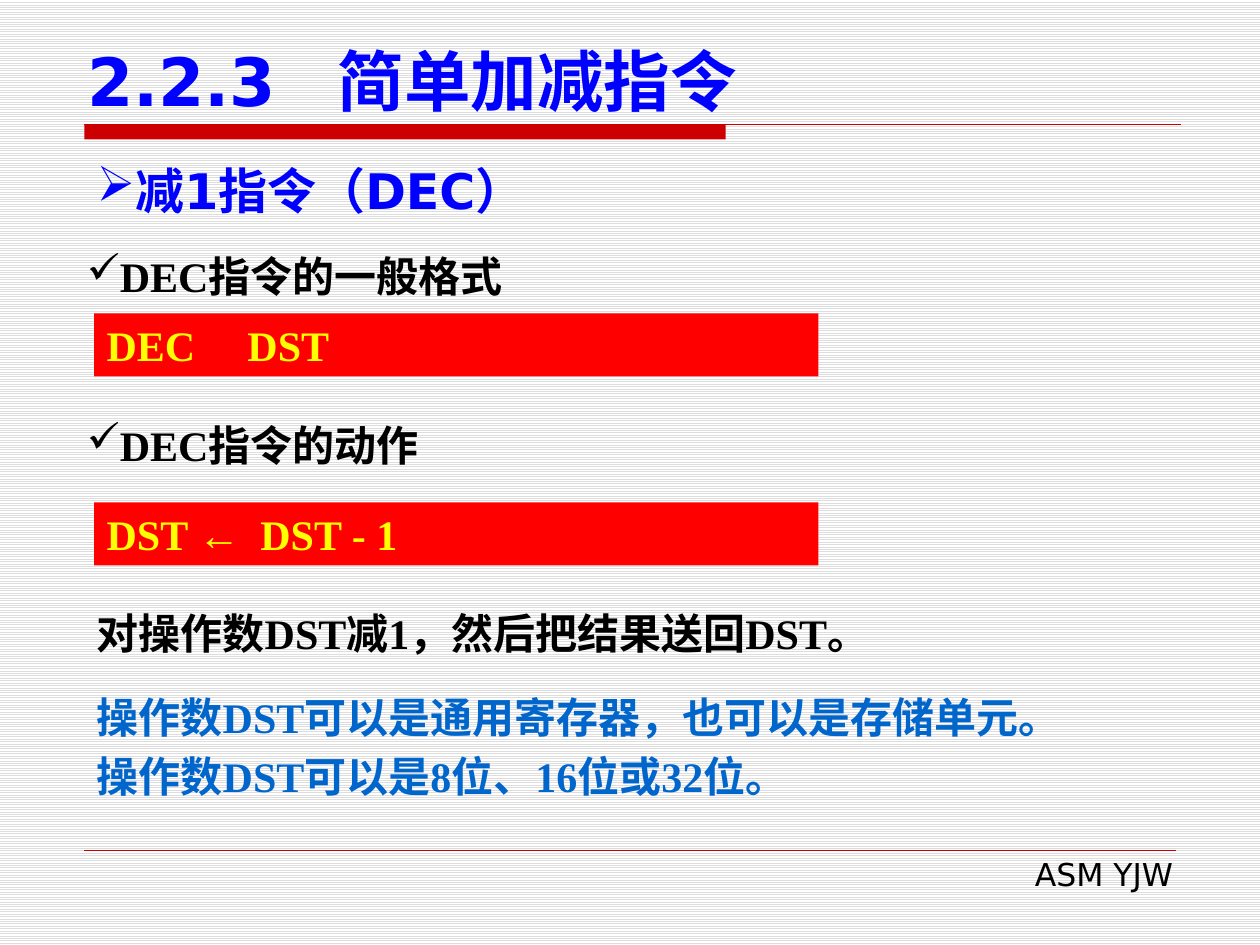
from lxml.etree import SubElement
from pptx import Presentation
from pptx.dml.color import RGBColor
from pptx.enum.dml import MSO_PATTERN
from pptx.enum.shapes import MSO_CONNECTOR, MSO_SHAPE
from pptx.enum.text import MSO_ANCHOR, MSO_AUTO_SIZE, PP_ALIGN
from pptx.oxml.ns import qn
from pptx.util import Cm, Pt

BLACK, BLUE, SKY = "000000", "0000FF", "0066CC"
CRIMSON, RED, YELLOW = "CC0000", "FF0000", "FFFF00"
SANS, SERIF = "DejaVu Sans", "Times New Roman"
BODY = {"name": SERIF, "size": Pt(24), "bold": True}


def color(value):
    """Turn a hex string into a colour."""
    return RGBColor.from_string(value)


class SlideBuilder:
    """Hold the style and the current slide."""

    def __init__(self, deck):
        """Add a title-only slide with a ruled background."""
        self.page = deck.slides.add_slide(deck.slide_layouts[5])
        fill = self.page.background.fill
        fill.patterned()
        fill.pattern = MSO_PATTERN.LIGHT_HORIZONTAL
        fill.fore_color.rgb = color("DDDDDD")
        fill.back_color.rgb = color("FFFFFF")

    def fill_text(self, shape, lines, ink, font=BODY, align=PP_ALIGN.LEFT,
                  anchor=MSO_ANCHOR.TOP, fit=MSO_AUTO_SIZE.SHAPE_TO_FIT_TEXT,
                  bullet=None, tab=None):
        """Fill a shape with formatted paragraphs."""
        frame = shape.text_frame
        settings = {"word_wrap": True, "auto_size": fit, "vertical_anchor": anchor}
        for key, value in settings.items():
            setattr(frame, key, value)
        for index, line in enumerate(lines):
            para = frame.add_paragraph() if index else frame.paragraphs[0]
            para.alignment = align
            para.space_before = Pt(5 if index else 0)
            properties = para._p.get_or_add_pPr()
            if bullet:
                SubElement(properties, qn("a:buChar"), char=bullet)
            if tab:
                stops = SubElement(properties, qn("a:tabLst"))
                SubElement(stops, qn("a:tab"), pos=str(Cm(tab)), algn="l")
            span = para.add_run()
            span.text = line
            for key, value in font.items():
                setattr(span.font, key, value)
            span.font.color.rgb = color(ink)

    def title(self, text, left, top, width, height, **style):
        """Move and format the title placeholder."""
        box = self.page.shapes.title
        place = {"left": left, "top": top, "width": width, "height": height}
        for key, value in place.items():
            setattr(box, key, Cm(value))
        self.fill_text(box, [text], BLUE, anchor=MSO_ANCHOR.BOTTOM,
                       fit=MSO_AUTO_SIZE.NONE, **style)

    def text(self, lines, left, top, width, height, ink=BLACK, **style):
        """Add a text box."""
        box = self.page.shapes.add_textbox(Cm(left), Cm(top), Cm(width), Cm(height))
        self.fill_text(box, lines, ink, **style)

    def bar(self, left, top, width, height, fill):
        """Add a filled rectangle without outline."""
        box = self.page.shapes.add_shape(
            MSO_SHAPE.RECTANGLE, Cm(left), Cm(top), Cm(width), Cm(height))
        box.shadow.inherit = False
        box.fill.solid()
        box.fill.fore_color.rgb = color(fill)
        box.line.fill.background()
        return box

    def code(self, text, top, tab):
        """Add a red bar with an instruction in it."""
        box = self.bar(1.9, top, 14.6, 1.27, RED)
        self.fill_text(box, [text], YELLOW, tab=tab)

    def rule(self, left, top, width, weight):
        """Add a horizontal line."""
        line = self.page.shapes.add_connector(
            MSO_CONNECTOR.STRAIGHT, Cm(left), Cm(top), Cm(left + width), Cm(top))
        line.line.color.rgb = color(CRIMSON)
        line.line.width = Pt(weight)
        SubElement(line._element.spPr, qn("a:effectLst"))


def main():
    """Build the slide and save it."""
    deck = Presentation()
    deck.slide_width, deck.slide_height = Cm(25.4), Cm(19.05)
    slide = SlideBuilder(deck)

    slide.bar(1.7, 2.51, 12.93, 0.3, CRIMSON)
    slide.rule(1.7, 2.51, 22.1, 0.75)
    slide.rule(1.7, 17.15, 22, 0.25)
    slide.text(["ASM YJW"], 9.7, 17.12, 14.2, 1.02, align=PP_ALIGN.RIGHT,
               font={"name": SANS, "size": Pt(18)})

    slide.title("2.2.3\t简单加减指令", 1.5, 0.74, 23, 1.8, tab=5.05,
                font={"name": SANS, "size": Pt(38), "bold": True})
    slide.text(["减1指令（DEC）"], 1.7, 3.12, 22, 1.45, BLUE, bullet="➢",
               align=PP_ALIGN.JUSTIFY,
               font={"name": SANS, "size": Pt(28), "bold": True})

    slide.text(["DEC指令的一般格式"], 1.5, 4.93, 22, 1.27, bullet="✓")
    slide.code("DEC\tDST", 6.32, 2.84)
    slide.text(["DEC指令的动作"], 1.5, 8.33, 18.6, 1.27, bullet="✓")
    slide.code("DST ←\tDST - 1", 10.13, 3.1)

    slide.text(["对操作数DST减1，然后把结果送回DST。"], 1.7, 12.12, 23, 1.27)
    slide.text(["操作数DST可以是通用寄存器，也可以是存储单元。",
                "操作数DST可以是8位、16位或32位。"], 1.7, 13.82, 21.6, 2.51, SKY)
    deck.save("out.pptx")


if __name__ == "__main__":
    main()
